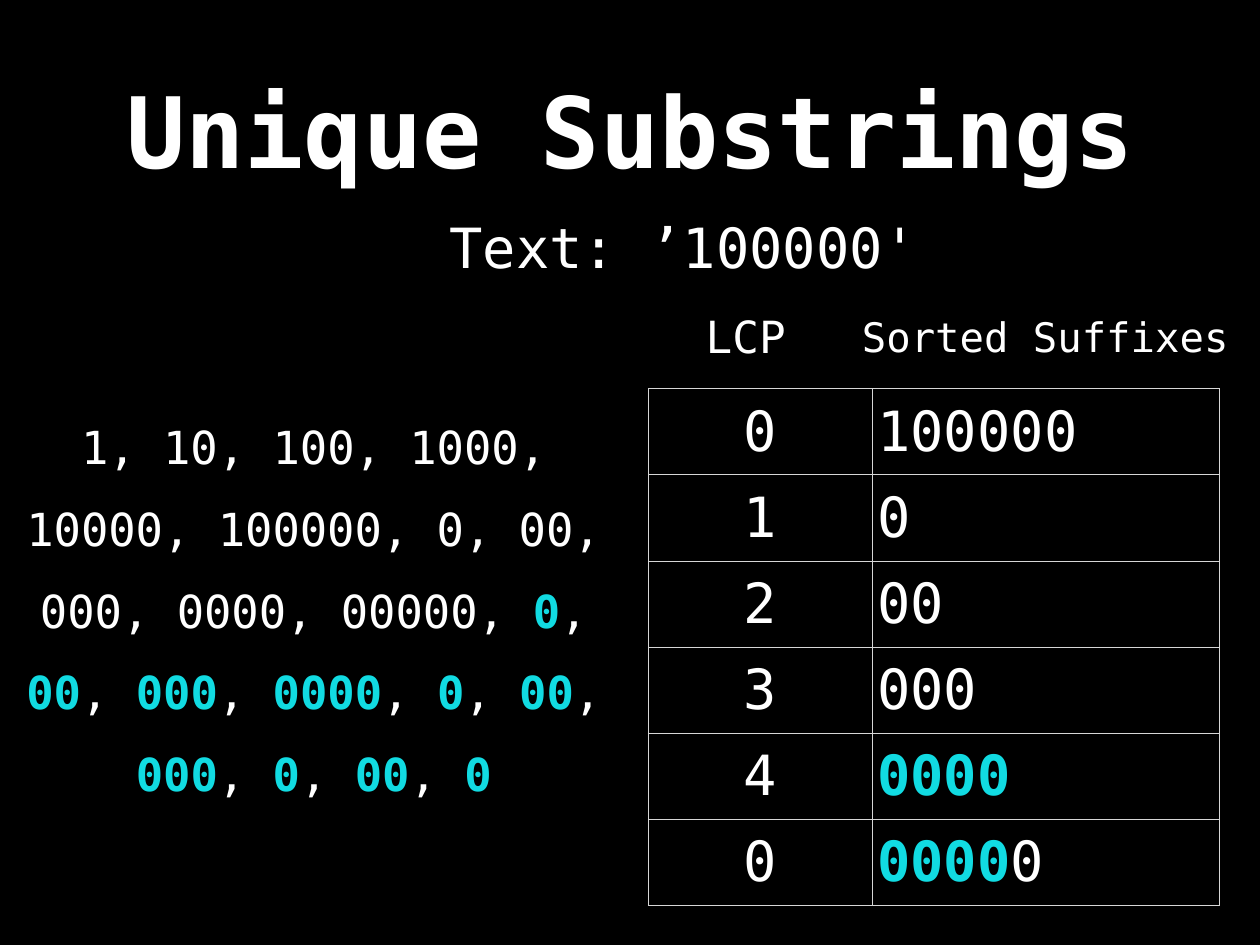
from lxml import etree
from pptx import Presentation
from pptx import util as u
from pptx.dml.color import RGBColor
from pptx.enum import text
from pptx.oxml.ns import qn

Pt = u.Pt
FONT = "DejaVu Sans Mono"
COLORS = {"back": "000000", "text": "FFFFFF", "repeat": "11DBE2", "grid": "D6D6D6"}

# Content: parts between asterisks are repeated substrings
TITLE = "Unique Substrings"
LABELS = [  # text, size, (left, top, width, height)
    ("Sorted Suffixes", 33, (696, 250, 307, 47)),
    ("LCP", 36, (569, 248, 74, 49)),
    ("Text: ’100000'", 45, (361, 170, 388, 61)),
]
SUBSTRINGS = ("1, 10, 100, 1000, 10000, 100000, 0, 00, 000, 0000, 00000, "
              "*0*, *00*, *000*, *0000*, *0*, *00*, *000*, *0*, *00*, *0*")
SUFFIXES = [("0", "100000"), ("1", "0"), ("2", "00"),
            ("3", "000"), ("4", "*0000*"), ("0", "*0000*0")]

TABLE_LEFT, TABLE_TOP, ROW_H = 527, 316, 70
COL_W = (182, 282)
INSET = 4


def rgb(name):
    return RGBColor.from_string(COLORS[name])


def write(tf, content, size, bold=False, align="CENTER", spacing=None):
    p = tf.paragraphs[0]
    p.alignment = text.PP_ALIGN[align]
    if spacing:
        p.line_spacing = spacing
    for i, part in enumerate(content.split("*")):
        if part:
            repeat = i % 2 == 1
            r = p.add_run()
            r.text = part
            r.font.name, r.font.size = FONT, Pt(size)
            r.font.bold = bold or repeat
            r.font.color.rgb = rgb("repeat" if repeat else "text")


def set_insets(box):
    box.margin_left = box.margin_right = Pt(INSET)
    box.margin_top = box.margin_bottom = Pt(INSET)
    box.vertical_anchor = text.MSO_ANCHOR.MIDDLE


def add_text(s, content, size, rect, wrap=True, **fmt):
    tf = s.shapes.add_textbox(*map(Pt, rect)).text_frame
    tf.word_wrap = wrap
    set_insets(tf)
    write(tf, content, size, **fmt)


def set_borders(cell):
    tcPr = cell._tc.get_or_add_tcPr()
    for i, side in enumerate(("lnL", "lnR", "lnT", "lnB")):
        ln = etree.Element(qn("a:" + side), w=str(Pt(1)))
        fill = etree.SubElement(ln, qn("a:solidFill"))
        etree.SubElement(fill, qn("a:srgbClr"), val=COLORS["grid"])
        tcPr.insert(i, ln)


def main():
    prs = Presentation()
    prs.slide_width, prs.slide_height = Pt(1024), Pt(768)
    s = prs.slides.add_slide(prs.slide_layouts[6])
    s.background.fill.solid()
    s.background.fill.fore_color.rgb = rgb("back")

    # Title
    add_text(s, TITLE, 80, (75, 20, 874, 170), bold=True)

    # Suffix table
    table = s.shapes.add_table(
        len(SUFFIXES), len(COL_W), Pt(TABLE_LEFT), Pt(TABLE_TOP),
        Pt(sum(COL_W)), Pt(ROW_H * len(SUFFIXES))).table
    table.first_row = table.horz_banding = False
    for col, width in zip(table.columns, COL_W):
        col.width = Pt(width)
    for row, values in zip(table.rows, SUFFIXES):
        row.height = Pt(ROW_H)
        for cell, value, align in zip(row.cells, values, ("CENTER", "LEFT")):
            set_insets(cell)
            cell.fill.solid()
            cell.fill.fore_color.rgb = rgb("back")
            set_borders(cell)
            write(cell.text_frame, value, 45, align=align)

    # Headings and the substring list
    for content, size, rect in LABELS:
        add_text(s, content, size, rect, wrap=False)
    add_text(s, SUBSTRINGS, 37, (16, 330, 478, 309), spacing=1.5)

    prs.save("out.pptx")


if __name__ == "__main__":
    main()
